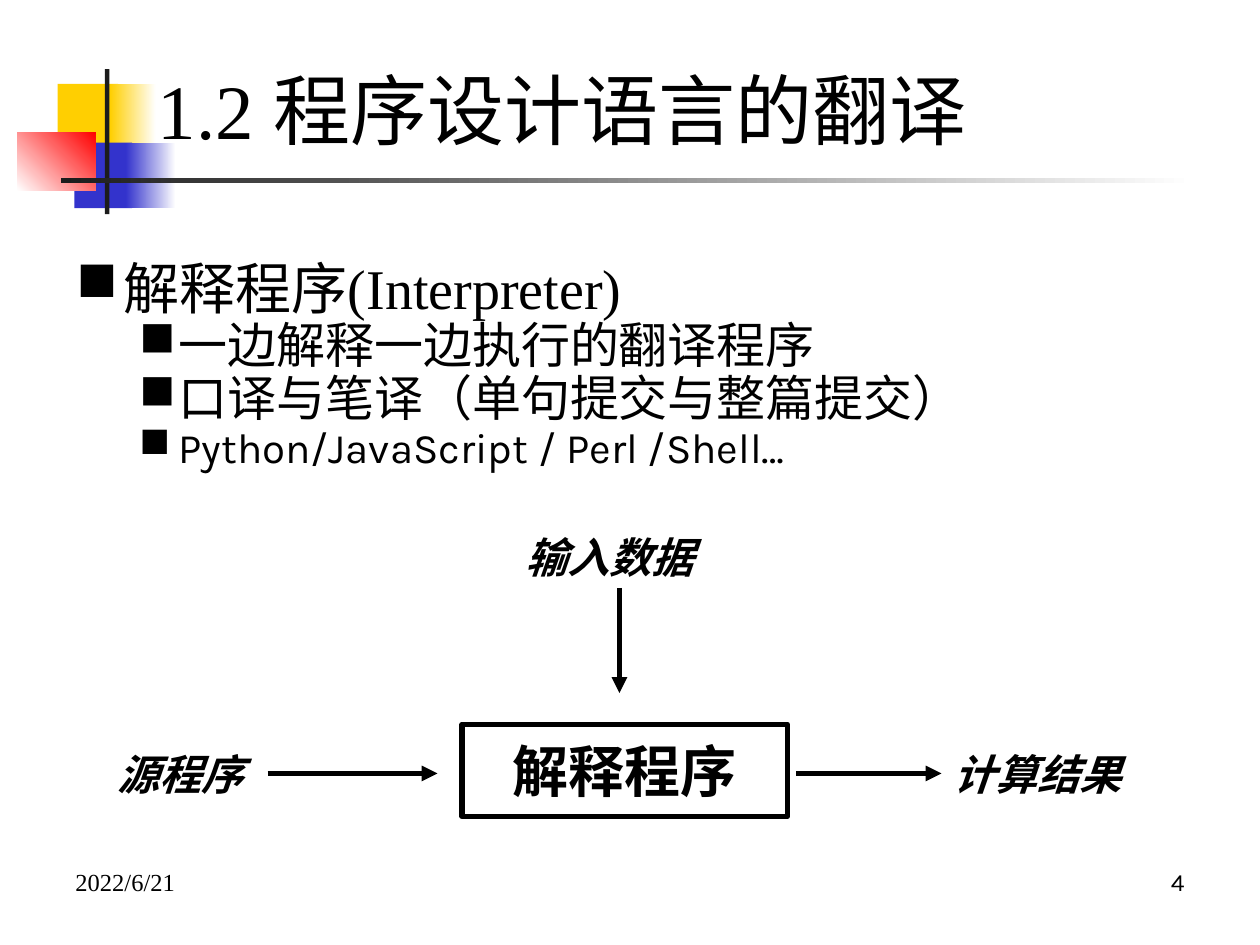
from lxml import etree
from pptx import Presentation
from pptx import util as u
from pptx.dml import color
from pptx.enum import shapes, text
from pptx.oxml import ns

Pt = u.Pt
SERIF, SANS = "Times New Roman", "Karla"
BLACK, WHITE = "000000", "FFFFFF"


def rgb(value):
    return color.RGBColor.from_string(value)


def add_child(parent, tag, **attributes):
    return etree.SubElement(parent, ns.qn(tag), **attributes)


def style(para, size, font=SERIF, bold=False, italic=False):
    for span in para.runs:
        span.font.size, span.font.name = Pt(size), font
        span.font.bold, span.font.italic = bold, italic
        span.font.color.rgb = rgb(BLACK)


def add_text(page, box, words, size, font=SERIF, align=text.PP_ALIGN.LEFT, **look):
    frame = page.shapes.add_textbox(*map(Pt, box)).text_frame
    frame.word_wrap = True
    frame.text = words
    frame.paragraphs[0].alignment = align
    style(frame.paragraphs[0], size, font, **look)


def add_block(page, box, start, end=None, angle=0):
    """Rectangle without outline, plain or fading from start to end."""
    block = page.shapes.add_shape(shapes.MSO_SHAPE.RECTANGLE, *map(Pt, box))
    block.shadow.inherit = False
    block.line.fill.background()
    if end is None:
        block.fill.solid()
        block.fill.fore_color.rgb = rgb(start)
        return
    block.fill.gradient()
    block.fill.gradient_angle = angle
    for stop, value in zip(block.fill.gradient_stops, (start, end)):
        stop.color.rgb = rgb(value)


def add_ornament(page, box):
    left, top, width, height = box
    add_block(page, (left + 23, top + 8.5, 34.5, 37.5), "FFCF01")
    add_block(page, (left + 53, top + 8.5, 26, 37.5), "FFCF01", WHITE)
    add_block(page, (left + 32.5, top + 42, 33, 37.5), "3333CC")
    add_block(page, (left + 62, top + 42, 28.5, 37.5), "3333CC", WHITE)
    add_block(page, (left, top + 36, 44.5, 33.5), WHITE, "FF0000", 45)
    add_block(page, (left + 50, top, 2.5, height), "1C1C1C")
    add_block(page, (left + 25, top + 62.5, width - 25, 2.5), "1C1C1C", WHITE)


def add_title(page, box, words):
    title = page.shapes.title
    title.left, title.top, title.width, title.height = map(Pt, box)
    frame = title.text_frame
    frame.text = words
    frame.vertical_anchor = text.MSO_ANCHOR.MIDDLE
    frame.paragraphs[0].alignment = text.PP_ALIGN.LEFT
    style(frame.paragraphs[0], 44)


def add_bullets(page, box, items):
    """Each item is level, words, size and font."""
    frame = page.shapes.add_textbox(*map(Pt, box)).text_frame
    frame.word_wrap = True
    frame.text = "\n".join(item[1] for item in items)
    for para, (level, _, size, font) in zip(frame.paragraphs, items):
        para.level = level
        para.line_spacing = 0.9
        para.space_before = Pt(0)
        style(para, size, font)
        margin, indent = ((27, -27), (58.5, -22.5))[level]
        settings = para._p.get_or_add_pPr()
        settings.set("marL", str(Pt(margin)))
        settings.set("indent", str(Pt(indent)))
        add_child(settings, "a:buChar", char="■")


def add_arrow(page, start, end):
    arrow = page.shapes.add_connector(
        shapes.MSO_CONNECTOR.STRAIGHT, *map(Pt, start + end))
    arrow.line.color.rgb = rgb(BLACK)
    arrow.line.width = Pt(3)
    add_child(arrow.line._get_or_add_ln(), "a:tailEnd", type="triangle")
    add_child(arrow._element.spPr, "a:effectLst")


def add_process(page, box, words):
    process = page.shapes.add_shape(shapes.MSO_SHAPE.RECTANGLE, *map(Pt, box))
    process.shadow.inherit = False
    process.fill.background()
    process.line.color.rgb = rgb(BLACK)
    process.line.width = Pt(3)
    frame = process.text_frame
    frame.text = words
    frame.vertical_anchor = text.MSO_ANCHOR.MIDDLE
    frame.paragraphs[0].alignment = text.PP_ALIGN.CENTER
    style(frame.paragraphs[0], 32, bold=True)


def add_flow(page, box):
    """Source and input data enter the interpreter, the result leaves it."""
    left, top, width, height = box
    middle = top + 142
    labels = (
        ("源程序", left, middle - 18, 93),
        ("输入数据", left + 233, top, 121),
        ("计算结果", left + width - 122, middle - 18, 122),
    )
    for words, x, y, label_width in labels:
        add_text(page, (x, y, label_width, 36), words, 24, bold=True, italic=True)
    add_arrow(page, (left + 93, middle), (left + 190, middle))
    add_arrow(page, (left + 395, middle), (left + width - 122, middle))
    add_arrow(page, (left + 294, top + 36), (left + 294, top + 96))
    add_process(page, (left + 204, top + 114, 186, height - 114), "解释程序")


def add_footer(page, box, date, number):
    left, top, width, height = box
    part = 168
    add_text(page, (left, top, part, height), date, 14)
    add_text(page, (left + width - part, top, part, height), number, 14,
             SANS, text.PP_ALIGN.RIGHT)


def main():
    deck = Presentation()
    deck.slide_width, deck.slide_height = Pt(720), Pt(540)
    page = deck.slides.add_slide(deck.slide_layouts[5])
    add_ornament(page, (10, 39.5, 672.5, 83))
    # The title stands in front of the ornament.
    page.shapes._spTree.append(page.shapes.title._element)
    add_title(page, (83, 32, 538, 60), "1.2 程序设计语言的翻译")
    add_bullets(page, (36.5, 145.5, 668, 120), (
        (0, "解释程序(Interpreter)", 32, SERIF),
        (1, "一边解释一边执行的翻译程序", 28, SERIF),
        (1, "口译与笔译（单句提交与整篇提交）", 28, SERIF),
        (1, "Python/JavaScript / Perl /Shell…", 24, SANS),
    ))
    add_flow(page, (60, 300, 600, 166.5))
    add_footer(page, (36, 492, 648, 37.5), "2022/6/21", "4")
    deck.save("out.pptx")


if __name__ == "__main__":
    main()
